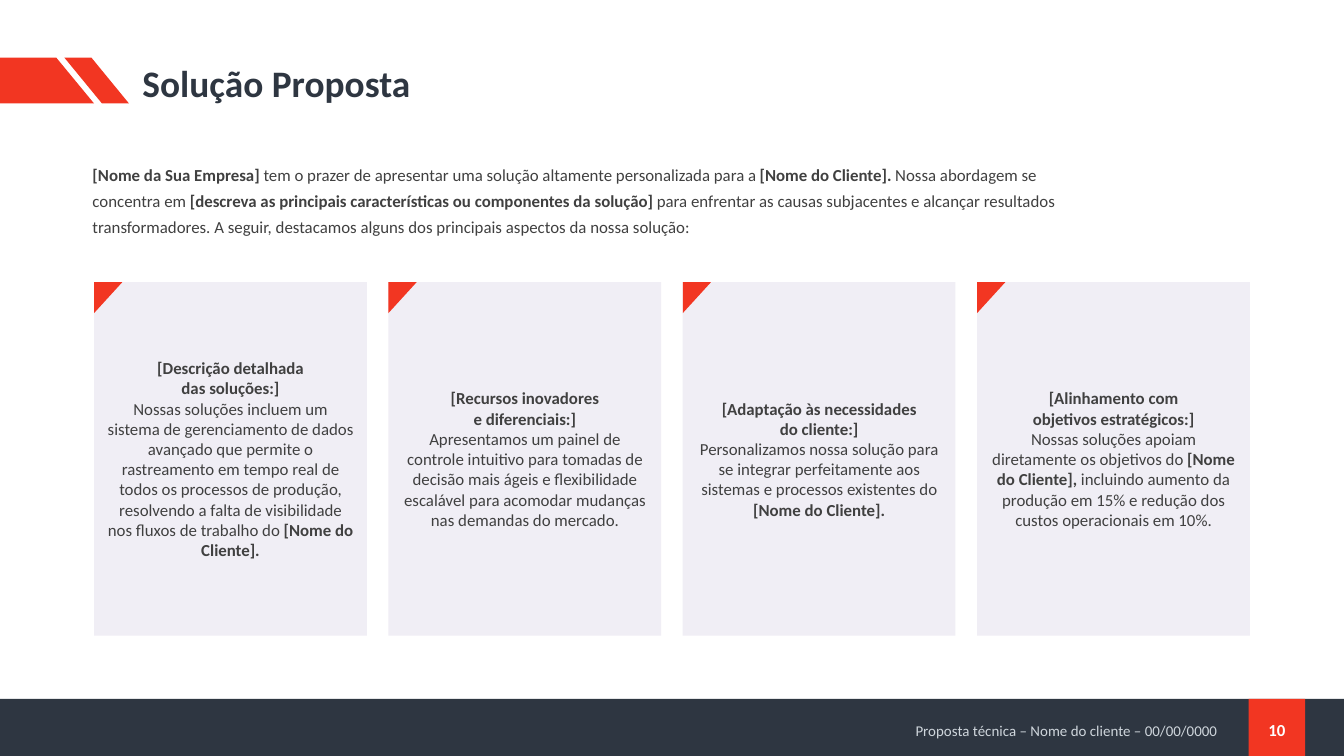
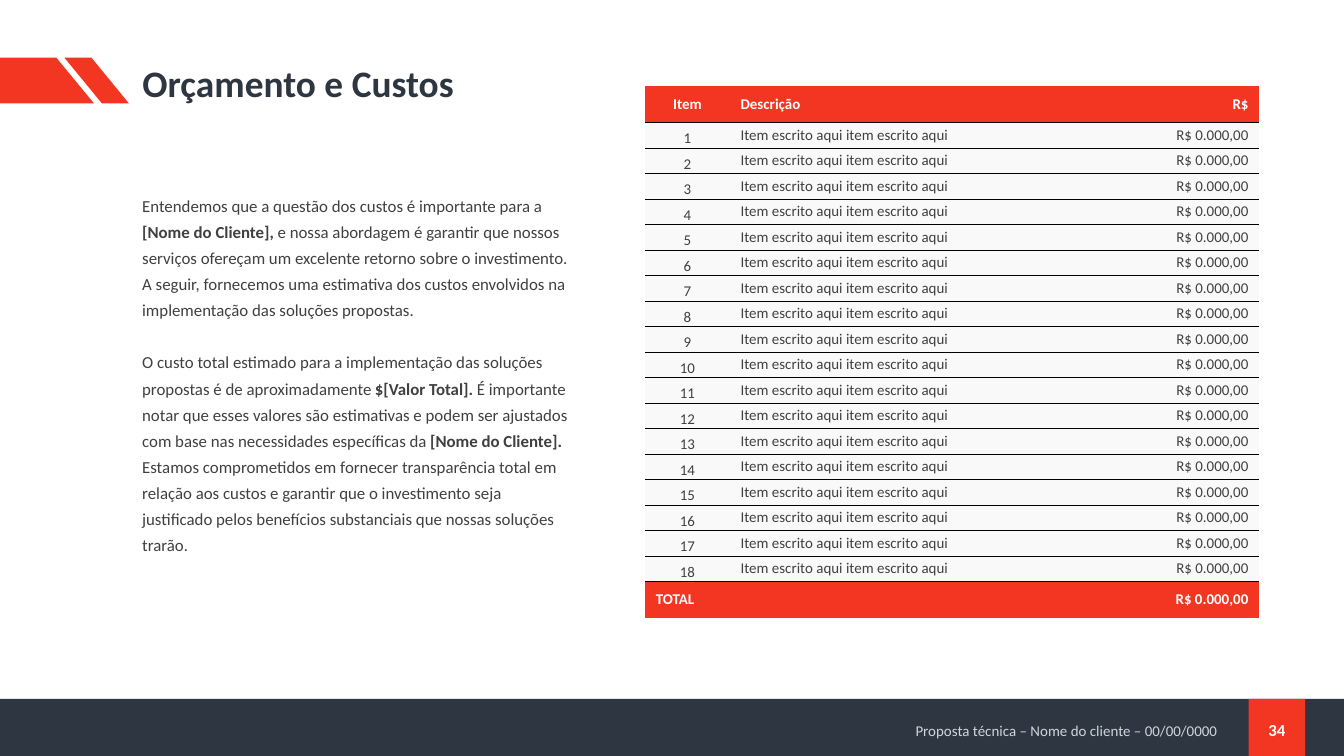
from lxml import etree
from pptx import Presentation
from pptx.dml.color import RGBColor
from pptx.enum.shapes import MSO_SHAPE
from pptx.enum.text import MSO_ANCHOR, MSO_AUTO_SIZE, PP_ALIGN
from pptx.oxml.ns import qn
from pptx.util import Inches, Pt

RECT, SLANT, WEDGE = MSO_SHAPE.RECTANGLE, MSO_SHAPE.PARALLELOGRAM, MSO_SHAPE.ISOSCELES_TRIANGLE
LEFT, CENTER, RIGHT = PP_ALIGN.LEFT, PP_ALIGN.CENTER, PP_ALIGN.RIGHT
TOP, MIDDLE, BOTTOM = MSO_ANCHOR.TOP, MSO_ANCHOR.MIDDLE, MSO_ANCHOR.BOTTOM

NAVY = RGBColor(0x2E, 0x36, 0x41)
RED = RGBColor(0xF2, 0x36, 0x22)
MIST = RGBColor(0xCF, 0xD6, 0xDC)
INK = RGBColor(0x40, 0x40, 0x40)
WHITE = RGBColor(0xFF, 0xFF, 0xFF)
LILAC = RGBColor(0xF0, 0xEE, 0xF5)
PALE = RGBColor(0xF9, 0xF9, 0xF9)

FONT = "Calibri"
NO_STYLE = "{2D5ABB26-0587-4C30-8999-92F81FD0307C}"
TITLE_BOX = (0.96, 0.43, 8.75, 0.41)

INTRO = (
    "*[Nome da Sua Empresa] *tem o prazer de apresentar uma solução altamente "
    "personalizada para a *[Nome do Cliente]. *Nossa abordagem se concentra em "
    "*[descreva as principais características ou componentes da solução] *para "
    "enfrentar as causas subjacentes e alcançar resultados transformadores. A seguir, "
    "destacamos alguns dos principais aspectos da nossa solução:"
)
CARDS = [
    ["*[Descrição detalhada*", "*das soluções:]*",
     "Nossas soluções incluem um sistema de gerenciamento de dados avançado que permite o "
     "rastreamento em tempo real de todos os processos de produção, resolvendo a falta de "
     "visibilidade nos fluxos de trabalho do *[Nome do Cliente].*"],
    ["*[Recursos inovadores*", "*e diferenciais:]*",
     "Apresentamos um painel de controle intuitivo para tomadas de decisão mais ágeis e "
     "flexibilidade escalável para acomodar mudanças nas demandas do mercado."],
    ["*[Adaptação às necessidades*", "*do cliente:]*",
     "Personalizamos nossa solução para se integrar perfeitamente aos sistemas e processos "
     "existentes do *[Nome do Cliente].*"],
    ["*[Alinhamento com*", "*objetivos estratégicos:]*",
     "Nossas soluções apoiam diretamente os objetivos do *[Nome do Cliente], *incluindo "
     "aumento da produção em 15% e redução dos custos operacionais em 10%."],
]
COSTS = [
    "Entendemos que a questão dos custos é importante para a *[Nome do Cliente], *e nossa "
    "abordagem é garantir que nossos serviços ofereçam um excelente retorno sobre o "
    "investimento. A seguir, fornecemos uma estimativa dos custos envolvidos na "
    "implementação das soluções propostas.",
    "O custo total estimado para a implementação das soluções propostas é de "
    "aproximadamente *$[Valor Total]. *É importante notar que esses valores são "
    "estimativas e podem ser ajustados com base nas necessidades específicas da "
    "*[Nome do Cliente]. *Estamos comprometidos em fornecer transparência total em relação "
    "aos custos e garantir que o investimento seja justificado pelos benefícios "
    "substanciais que nossas soluções trarão.",
]
PRICE = "R$ 0.000,00"
ITEMS = 18


def inches(box):
    return [Inches(v) for v in box]


def write(frame, paras, size=9, color=INK, align=LEFT, anchor=MIDDLE, gap=0, **form):
    """Fill a text frame; asterisks in a paragraph switch bold on and off."""
    frame.word_wrap = True
    frame.vertical_anchor = anchor
    for i, text in enumerate(paras):
        para = frame.paragraphs[0] if i == 0 else frame.add_paragraph()
        para.alignment = align
        para.space_before = Pt(gap if i else 0)
        for name, value in form.items():
            setattr(para, name, value)
        for j, part in enumerate(text.split("*")):
            if part:
                run = para.add_run()
                run.text = part
                look = {"name": FONT, "size": Pt(size), "bold": j % 2 == 1}
                for name, value in look.items():
                    setattr(run.font, name, value)
                run.font.color.rgb = color


def paint(shape, color):
    shape.shadow.inherit = False
    shape.fill.solid()
    shape.fill.fore_color.rgb = color
    shape.line.fill.background()
    return shape


def add_block(slide, kind, box, color):
    return paint(slide.shapes.add_shape(kind, *inches(box)), color)


def add_text(slide, box, paras, **form):
    area = slide.shapes.add_textbox(*inches(box))
    write(area.text_frame, paras, **form)
    return area


def add_flag(slide, x, y, height):
    """Red slanted flag beside the title."""
    form = slide.shapes.build_freeform(Inches(x), Inches(y))
    points = [(x + 0.42, y), (x + 0.7, y + height), (x, y + height)]
    form.add_line_segments([inches(p) for p in points], close=True)
    stripe = add_block(slide, SLANT, (x + 0.48, y, 0.48, height), RED)
    stripe.adjustments[0] = 0.82
    stripe.element.spPr.xfrm.set("flipH", "1")
    return [paint(form.convert_to_shape(), RED), stripe]


def add_footer(slide, y, height):
    return [
        add_block(slide, RECT, (0, y, 10, height), NAVY),
        add_block(slide, RECT, (9.29, y, 0.42, height), RED),
        add_text(slide, (5.59, y + 0.14, 3.57, 0.21),
                 ["Proposta técnica – Nome do cliente – 00/00/0000"],
                 size=8, color=MIST, align=RIGHT, line_spacing=0.9),
    ]


def dress_layout(layout, slide):
    """Set the title place and move the shared art from the slide to its layout."""
    for holder in list(layout.placeholders):
        if holder.placeholder_format.idx:
            holder.element.getparent().remove(holder.element)
        else:
            holder.left, holder.top, holder.width, holder.height = inches(TITLE_BOX)
    for part in add_footer(slide, 5.2, 0.43) + add_flag(slide, 0, 0.43, 0.34):
        layout.shapes.element.append(part.element)


def add_heading(slide, text, number):
    frame = slide.shapes.title.text_frame
    frame.auto_size = MSO_AUTO_SIZE.NONE
    write(frame, [f"*{text}*"], size=20, color=NAVY, line_spacing=0.9)
    add_text(slide, (9.29, 5.28, 0.42, 0.3), [f"*{number}*"], color=WHITE, align=CENTER)


def add_card(slide, x, y, width, height, paras):
    card = add_block(slide, RECT, (x, y, width, height), LILAC)
    write(card.text_frame, paras, align=CENTER)
    fold = add_block(slide, WEDGE, (x - 0.01, y + 0.01, 0.23, 0.21), RED)
    fold.adjustments[0] = 0
    fold.rotation = 90


def build_solution(slide):
    add_heading(slide, "Solução Proposta", 10)
    add_text(slide, (0.59, 1.13, 7.46, 0.68), [INTRO], line_spacing=Pt(14))
    for i, paras in enumerate(CARDS):
        add_card(slide, 0.7 + i * 2.19, 2.1, 2.03, 2.63, paras)


def add_rule(cell, side):
    props = cell._tc.get_or_add_tcPr()
    line = etree.SubElement(props, qn(f"a:{side}"), w=str(Pt(0.25)))
    fill = etree.SubElement(line, qn("a:solidFill"))
    etree.SubElement(fill, qn("a:srgbClr"), val="000000")


def fill_cell(cell, text, sides, back, anchor, **form):
    for side in sides:
        add_rule(cell, side)
    cell.margin_left = cell.margin_right = Inches(0.08)
    cell.margin_top = cell.margin_bottom = 0
    cell.fill.solid()
    cell.fill.fore_color.rgb = back
    write(cell.text_frame, [text], size=8, **form)
    cell.vertical_anchor = anchor


def add_costs(slide, x, y, widths):
    rows = [["*Item*", "*Descrição*", "*R$*"]]
    rows += [[str(n), "Item escrito aqui item escrito aqui", PRICE] for n in range(1, ITEMS + 1)]
    rows += [["*TOTAL*", "", f"*{PRICE}*"]]
    last = len(rows) - 1
    heights = [0.27] + [0.19] * ITEMS + [0.27]
    box = inches((x, y, sum(widths), sum(heights)))
    table = slide.shapes.add_table(len(rows), len(widths), *box).table
    table.first_row = table.horz_banding = False
    table._tbl.tblPr.find(qn("a:tableStyleId")).text = NO_STYLE
    for col, width in zip(table.columns, widths):
        col.width = Inches(width)
    for r, row in enumerate(rows):
        table.rows[r].height = Inches(heights[r])
        edge = r in (0, last)
        sides = {0: ["lnB"], last: ["lnT"]}.get(r, ["lnT", "lnB"])
        for c, text in enumerate(row):
            fill_cell(table.cell(r, c), text, sides, RED if edge else PALE,
                      BOTTOM if c == 0 and not edge else MIDDLE,
                      color=WHITE if edge else INK,
                      align=LEFT if r == last and c == 0 else (CENTER, LEFT, RIGHT)[c])
    table.cell(last, 0).merge(table.cell(last, 1))


def build_budget(slide):
    add_heading(slide, "Orçamento e Custos", 34)
    add_text(slide, (0.96, 1.36, 3.37, 3.23), COSTS, anchor=TOP, gap=14, line_spacing=Pt(14))
    add_costs(slide, 4.8, 0.64, [0.63, 2.74, 1.2])


def main():
    deck = Presentation()
    deck.slide_width = Inches(10)
    deck.slide_height = deck.slide_width * 9 // 16
    layout = deck.slide_layouts[5]
    first, second = [deck.slides.add_slide(layout) for _ in range(2)]
    dress_layout(layout, first)
    build_solution(first)
    build_budget(second)
    deck.save("out.pptx")


if __name__ == "__main__":
    main()
